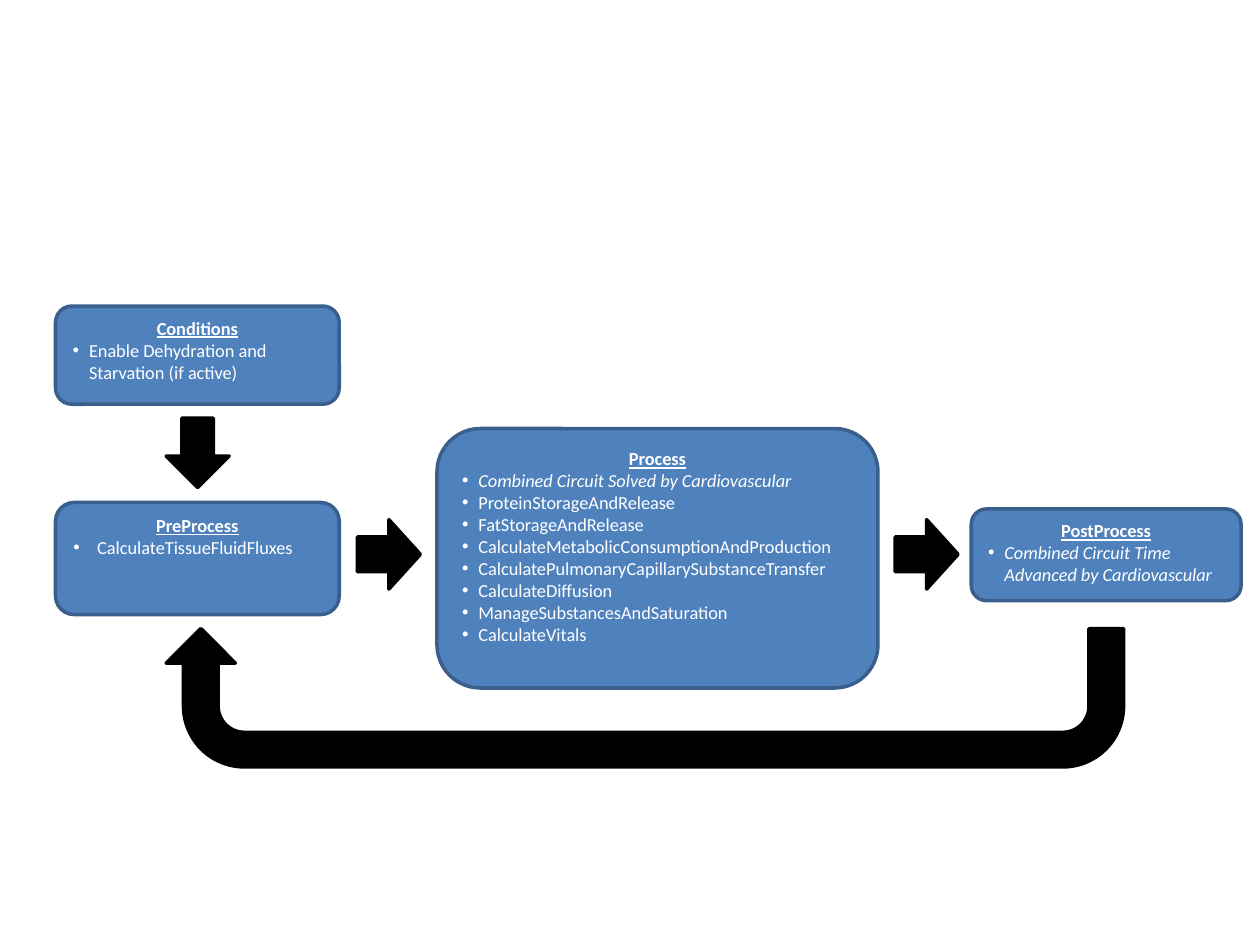
import pptx
import pptx.dml.color
import pptx.enum.shapes
import pptx.enum.text
import pptx.util
import lxml.etree
from dataclasses import dataclass

Cm = pptx.util.Cm
Pt = pptx.util.Pt
Shape = pptx.enum.shapes.MSO_SHAPE
Align = pptx.enum.text.PP_ALIGN


@dataclass(frozen=True)
class Theme:
    font: str = "Calibri"
    text_size: float = 10.5
    line_width: float = 2
    text: str = "FFFFFF"
    box_fill: str = "4F81BD"
    box_line: str = "3A5F8C"
    arrow: str = "000000"


def rgb(value):
    return pptx.dml.color.RGBColor.from_string(value)


def write(para, text, theme, bold=False, underline=False, italic=False,
          align=Align.LEFT, bullet_indent=None):
    """Put one formatted span in a paragraph, bulleted if an indent is given."""
    para.alignment = align
    span = para.add_run()
    span.text = text
    font = span.font
    font.name, font.size = theme.font, Pt(theme.text_size)
    font.bold, font.underline, font.italic = bold, underline, italic
    font.color.rgb = rgb(theme.text)
    if bullet_indent is not None:
        properties = para._p.get_or_add_pPr()
        properties.set("marL", str(Cm(bullet_indent)))
        properties.set("indent", str(-Cm(bullet_indent)))
        namespace = pptx.oxml.ns.qn("a:buFont").rsplit("}", 1)[0] + "}"
        lxml.etree.SubElement(properties, namespace + "buFont", typeface="Arial")
        lxml.etree.SubElement(properties, namespace + "buChar", char="•")


class FlowPage:
    """Draws the elements of a flow diagram on one slide."""

    def __init__(self, page, theme):
        self.page = page
        self.theme = theme

    def shape(self, kind, place, fill, line):
        shape = self.page.shapes.add_shape(kind, *(Cm(length) for length in place))
        shape.shadow.inherit = False
        shape.fill.solid()
        shape.fill.fore_color.rgb = rgb(fill)
        shape.line.color.rgb = rgb(line)
        shape.line.width = Pt(self.theme.line_width)
        return shape

    def step(self, place, heading, items, bullet_indent=0.33):
        """A rounded box; items are pairs of text and italic flag."""
        box = self.shape(Shape.ROUNDED_RECTANGLE, place,
                         self.theme.box_fill, self.theme.box_line)
        frame = box.text_frame
        frame.word_wrap = True
        frame.vertical_anchor = pptx.enum.text.MSO_ANCHOR.TOP
        write(frame.paragraphs[0], heading, self.theme, bold=True,
              underline=True, align=Align.CENTER)
        for text, italic in items:
            write(frame.add_paragraph(), text, self.theme, italic=italic,
                  bullet_indent=bullet_indent)

    def arrow(self, place, kind=Shape.DOWN_ARROW, rotation=0, adjustments=()):
        arrow = self.shape(kind, place, self.theme.arrow, self.theme.arrow)
        arrow.rotation = rotation
        for index, value in enumerate(adjustments):
            arrow.adjustments[index] = value


def main():
    deck = pptx.Presentation()
    deck.slide_width, deck.slide_height = Cm(25.4), Cm(19.05)
    flow = FlowPage(deck.slides.add_slide(deck.slide_layouts[6]), Theme())

    left, width = 1.12, 5.72  # column shared by Conditions and PreProcess

    # Steps
    flow.step((left, 6.17, width, 1.98), "Conditions",
              [("Enable Dehydration and Starvation (if active)", False)])
    flow.step((left, 10.13, width, 2.26), "PreProcess",
              [("CalculateTissueFluidFluxes", False)], bullet_indent=0.48)
    flow.step((8.81, 8.64, 8.89, 5.23), "Process", [
        ("Combined Circuit Solved by Cardiovascular", True),
        ("ProteinStorageAndRelease", False),
        ("FatStorageAndRelease", False),
        ("CalculateMetabolicConsumptionAndProduction", False),
        ("CalculatePulmonaryCapillarySubstanceTransfer", False),
        ("CalculateDiffusion", False),
        ("ManageSubstancesAndSaturation", False),
        ("CalculateVitals", False),
    ])
    flow.step((19.58, 10.26, 5.44, 1.85), "PostProcess",
              [("Combined Circuit Time Advanced by Cardiovascular", True)])

    # Arrows from step to step
    flow.arrow((3.35, 8.43, 1.27, 1.4))
    for arrow_left in (7.14, 17.98):
        flow.arrow((arrow_left, 10.54, 1.4, 1.27), rotation=270)

    # Return arrow from PostProcess to PreProcess
    flow.arrow((3.35, 12.67, 19.3, 2.79), kind=Shape.U_TURN_ARROW, rotation=180,
               adjustments=(0.25, 0.25, 0.25, 0.44, 1))

    deck.save("out.pptx")


if __name__ == "__main__":
    main()
